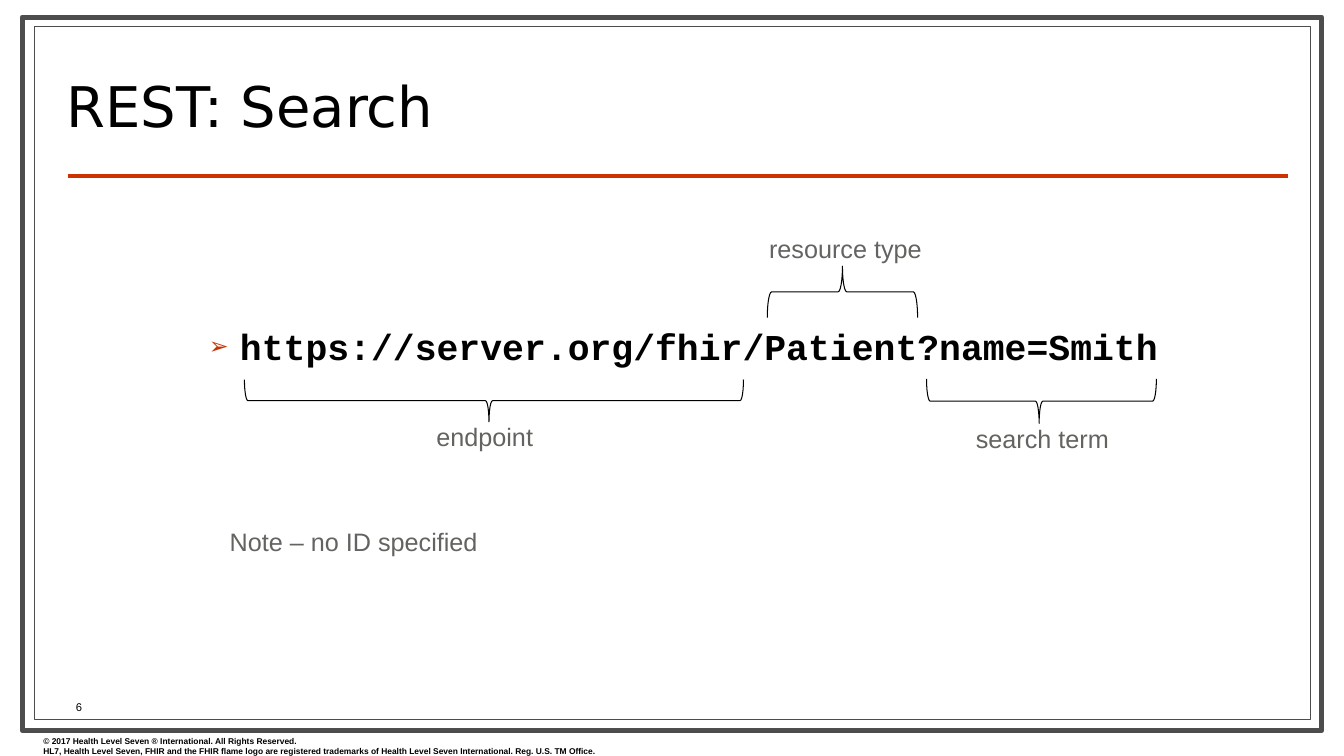
"""Build the REST search slide."""
from lxml.etree import SubElement as Sub
from pptx import Presentation
from pptx.dml.color import RGBColor as Color
from pptx.enum.shapes import MSO_CONNECTOR as Link, MSO_SHAPE as Shape
from pptx.enum.text import MSO_ANCHOR as Anchor, MSO_AUTO_SIZE as Fit, PP_ALIGN as Align
from pptx.oxml.ns import qn
from pptx.util import Inches, Pt


class Deck:
    """Hold the style and current slide; lengths are percent of the slide."""

    hues = {"ink": "000000", "page": "FFFFFF", "frame": "4D4D4D",
            "red": "CC3300", "note": "636360"}
    fonts = {"head": "DejaVu Sans", "body": "Arial", "code": "Courier New"}

    def __init__(self):
        self.show = Presentation()
        self.show.slide_width = Inches(13.33)
        self.show.slide_height = Inches(7.5)
        self.slide = self.show.slides.add_slide(self.show.slide_layouts[1])
        self.shapes = self.slide.shapes

    def hue(self, name):
        return Color.from_string(self.hues[name])

    def box(self, x, y, w, h):
        wide, high = self.show.slide_width, self.show.slide_height
        return [int(n * size / 100)
                for n, size in ((x, wide), (y, high), (w, wide), (h, high))]

    def pen(self, line, hue, width):
        line.color.rgb = self.hue(hue)
        line.width = Pt(width)

    def frame(self, area, width):
        rect = self.shapes.add_shape(Shape.RECTANGLE, *self.box(*area))
        rect.shadow.inherit = False
        rect.fill.solid()
        rect.fill.fore_color.rgb = self.hue("page")
        self.pen(rect.line, "frame", width)

    def rule(self, x, y, w):
        left, top, wide, _ = self.box(x, y, w, 0)
        line = self.shapes.add_connector(Link.STRAIGHT, left, top, left + wide, top)
        Sub(line._element.spPr, qn("a:effectLst"))
        self.pen(line.line, "red", 3)

    def brace(self, area, turn, tip):
        x, y, w, h = self.box(*area)
        left, top = x + (w - h) // 2, y + (h - w) // 2
        brace = self.shapes.add_shape(Shape.LEFT_BRACE, left, top, h, w)
        brace.rotation = turn
        brace.adjustments[1] = tip
        brace.shadow.inherit = False
        brace.fill.background()
        self.pen(brace.line, "ink", 0.75)

    def style(self, frame, size, font, hue, bold=False):
        for para in frame.paragraphs:
            for run in para.runs:
                run.font.size = Pt(size)
                run.font.name = self.fonts[font]
                run.font.bold = bold
                run.font.color.rgb = self.hue(hue)

    def text(self, area, words, size=18, hue="note", bold=False, wrap=True):
        frame = self.shapes.add_textbox(*self.box(*area)).text_frame
        frame.word_wrap = wrap
        frame.text = words
        self.style(frame, size, "body", hue, bold)
        return frame

    def holder(self, index, area, words):
        shape = self.slide.placeholders[index]
        shape.left, shape.top, shape.width, shape.height = self.box(*area)
        self.shapes._spTree.append(shape._element)
        frame = shape.text_frame
        frame.auto_size = Fit.NONE
        frame.text = words
        return frame

    def title(self, area, words):
        frame = self.holder(0, area, words)
        frame.vertical_anchor = Anchor.BOTTOM
        para = frame.paragraphs[0]
        para.alignment = Align.LEFT
        para.line_spacing = 0.8
        self.style(frame, 40, "head", "ink")

    def code(self, area, words, drop):
        frame = self.holder(1, area, words)
        frame.margin_top = self.box(0, drop, 0, 0)[1]
        para = frame.paragraphs[0]
        para.level = 1
        para.space_before = Pt(0)
        props = para._p.get_or_add_pPr()
        props.set("marL", str(Inches(0.81)))
        props.set("indent", str(Inches(-0.31)))
        tint = Sub(props, qn("a:buClr"))
        Sub(tint, qn("a:srgbClr"), val=self.hues["red"])
        Sub(props, qn("a:buSzPct"), val="65000")
        Sub(props, qn("a:buChar"), char="➢")
        self.style(frame, 26, "code", "ink", True)

    def number(self, area, words):
        frame = self.text(area, words, 8, "ink")
        frame.vertical_anchor = Anchor.MIDDLE
        frame.paragraphs[0].alignment = Align.CENTER


def main():
    deck = Deck()
    deck.frame((1.65, 2.27, 96.7, 94.4), 3.5)
    deck.frame((2.55, 3.47, 94.97, 91.73), 0.75)
    deck.rule(5.03, 23.33, 90.77)
    deck.text((2.48, 96.67, 48.31, 4),
              "© 2017 Health Level Seven ® International. All Rights Reserved.\n"
              "HL7, Health Level Seven, FHIR and the FHIR flame logo are registered "
              "trademarks of Health Level Seven International. Reg. U.S. TM Office.",
              6, "ink", True)
    deck.title((4.2, 6.93, 76.52, 12), "REST: Search")
    deck.code((11.03, 12.27, 86.27, 43.47),
              "https://server.org/fhir/Patient?name=Smith", 30.6)
    parts = (
        ("endpoint", (31.73, 55.07, 9.45, 5.33), (18.19, 50.2, 37.13, 5.6), 270, 0.49),
        ("resource type", (56.49, 30.27, 13.58, 5.33), (57.09, 35.2, 11.18, 6.8), 90, 0.5),
        ("search term", (71.87, 55.33, 12.83, 5.33), (68.94, 50.13, 17.1, 5.87), 270, 0.49),
    )
    for words, label, brace, turn, tip in parts:
        deck.brace(brace, turn, tip)
        deck.text(label, words)
    deck.text((16.35, 68.93, 20.11, 5.33), "Note – no ID specified", wrap=False)
    deck.number((1.95, 91.87, 7.88, 3.2), "6")
    deck.show.save("out.pptx")


if __name__ == "__main__":
    main()
